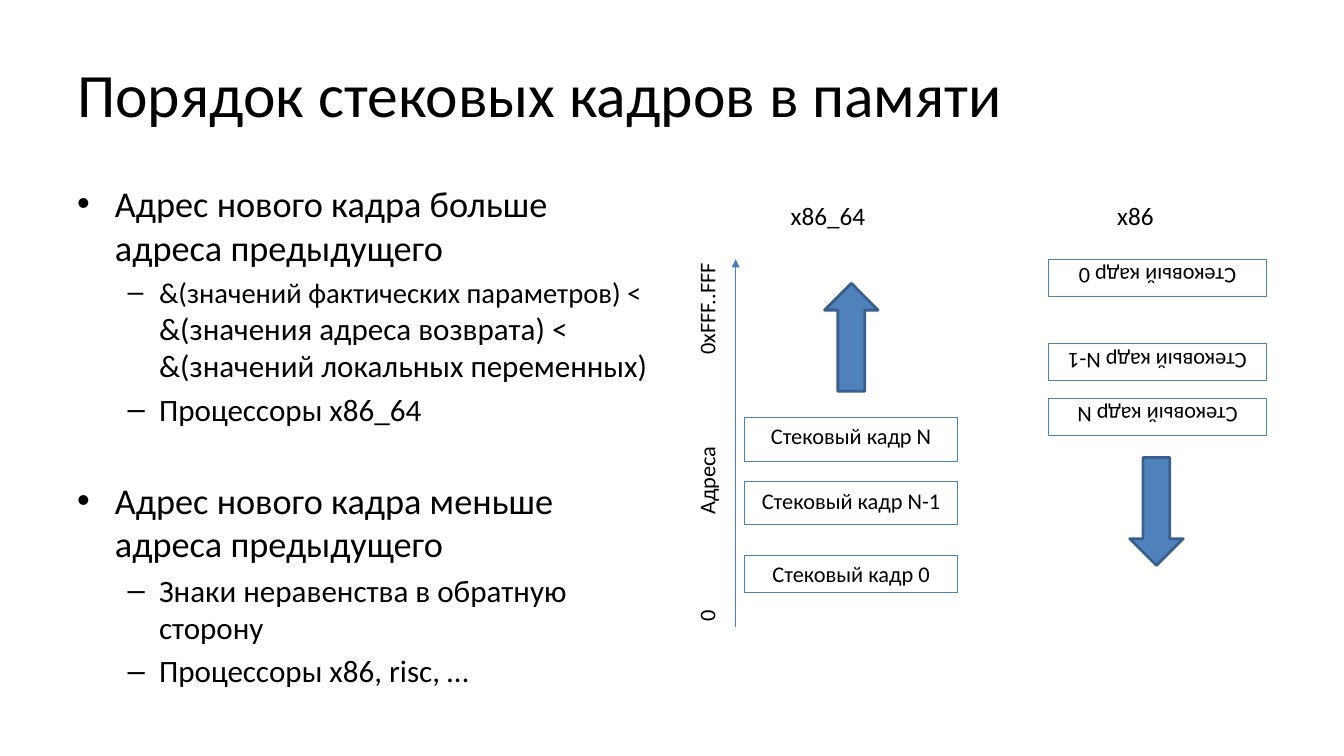
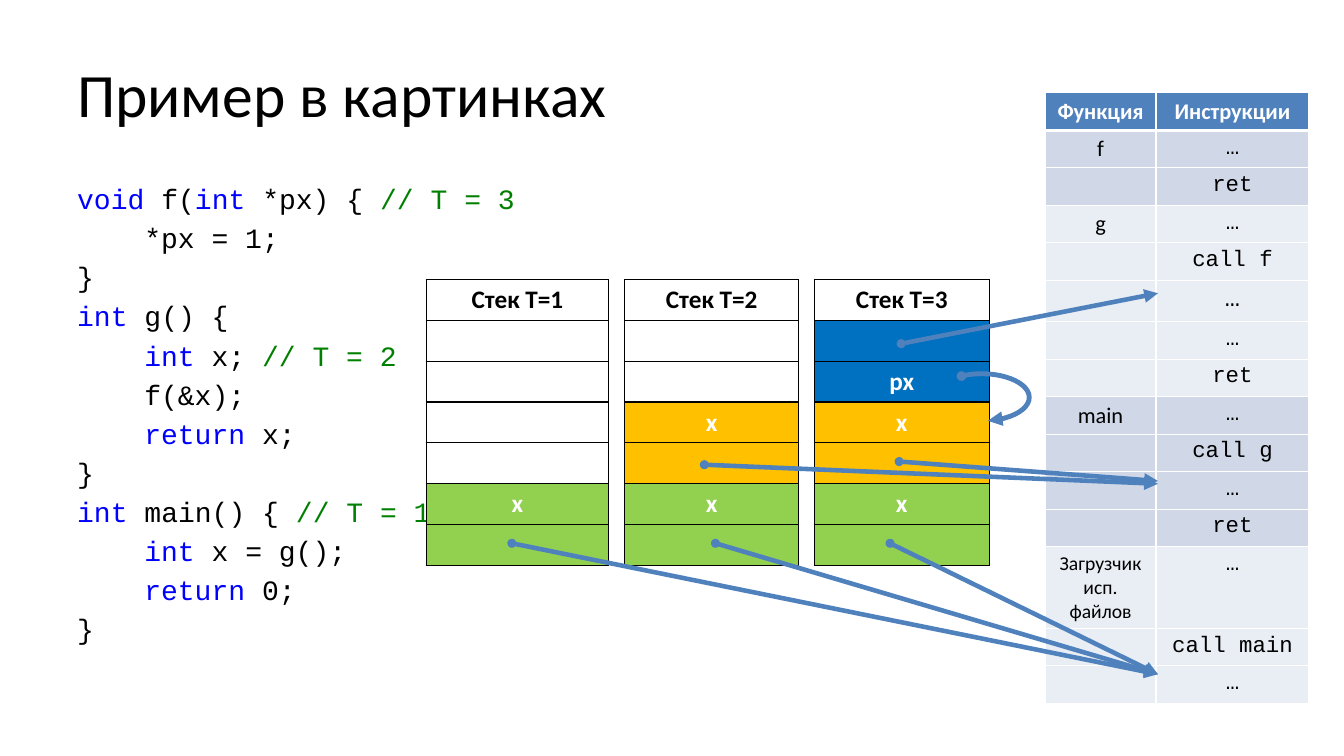
from lxml import etree
from pptx import Presentation
from pptx.dml.color import RGBColor
from pptx.enum import shapes, text
from pptx.oxml import ns
from pptx.util import Cm, Pt

hue = RGBColor.from_string
BLACK, WHITE, BLUE = "000000", "FFFFFF", "4F81BD"
SANS, MONO = "Calibri", "Courier New"


def draw_line(shape, color, width, head=None, tail=None):
    shape.line.color.rgb = hue(color)
    shape.line.width = Pt(width)
    outline = shape.element.spPr.find(ns.qn("a:ln"))
    for tag, kind, size in (("a:headEnd", head, "sm"), ("a:tailEnd", tail, "med")):
        if kind:
            etree.SubElement(outline, ns.qn(tag), type=kind, w=size, len=size)
    etree.SubElement(shape.element.spPr, ns.qn("a:effectLst"))


def fill_cell(cell, words, fill, border, size, color, font=SANS, bold=False, top=1, bottom=1):
    properties = cell._tc.get_or_add_tcPr()
    for side, width in (("L", 1), ("R", 1), ("T", top), ("B", bottom)):
        edge = etree.SubElement(properties, ns.qn("a:ln" + side), w=str(Pt(width)))
        paint = etree.SubElement(edge, ns.qn("a:solidFill"))
        etree.SubElement(paint, ns.qn("a:srgbClr"), val=border)
    if fill:
        cell.fill.solid()
        cell.fill.fore_color.rgb = hue(fill)
    else:
        cell.fill.background()
    para = cell.text_frame.paragraphs[0]
    para.alignment = text.PP_ALIGN.CENTER
    para.font.size = Pt(size)
    para.font.name = font
    para.font.bold = bold
    para.font.color.rgb = hue(color)
    if words:
        para.text = words
    else:
        ending = etree.SubElement(para._p, ns.qn("a:endParaRPr"))
        ending.set("sz", str(size * 100))


deck = Presentation()
deck.slide_width, deck.slide_height = Cm(33.87), Cm(19.05)

pages = []
for heading in ("Порядок стековых кадров в памяти", "Пример в картинках"):
    page = deck.slides.add_slide(deck.slide_layouts[1])
    title, body = page.placeholders
    title.left, title.top, title.width, title.height = Cm(1.69), Cm(0.76), Cm(30.48), Cm(3.18)
    body.left, body.top, body.width, body.height = Cm(1.69), Cm(4.45), Cm(14.96), Cm(12.57)
    title.text = heading
    title.text_frame.paragraphs[0].alignment = text.PP_ALIGN.LEFT
    title.text_frame.paragraphs[0].font.size = Pt(44)
    body.text_frame.auto_size = text.MSO_AUTO_SIZE.NONE
    pages.append((page, body.text_frame))

page, frame = pages[0]
points = [
    (0, "Адрес нового кадра больше адреса предыдущего"),
    (1, "&(значений фактических параметров) <\v&(значения адреса возврата) <\v"
        "&(значений локальных переменных)"),
    (1, "Процессоры x86_64"),
    (0, "Адрес нового кадра меньше адреса предыдущего"),
    (1, "Знаки неравенства в обратную сторону"),
    (1, "Процессоры x86, risc, …"),
]
for number, (level, words) in enumerate(points):
    para = frame.add_paragraph() if number else frame.paragraphs[0]
    para.text = words
    para.level = level
    para.font.size = Pt(22.2 if level else 25.9)
frame.paragraphs[1].runs[0].font.size = Pt(20.4)
frame.paragraphs[3].space_before = Pt(36)

labels = [
    ("x86", 28.63, 5.44, 1.45, 1.02, 18, 0),
    ("x86_64", 20.88, 5.44, 2.41, 1.02, 18, 0),
    ("0", 17.9, 15.5, 0.81, 1.12, 16, 270),
    ("0xFFF..FFF", 17.9, 7.77, 2.84, 1.12, 16, 270),
    ("Адреса", 17.9, 12.09, 2.26, 1.12, 16, 270),
]
for words, center, middle, width, height, size, turn in labels:
    box = page.shapes.add_textbox(
        Cm(center - width / 2), Cm(middle - height / 2), Cm(width), Cm(height))
    box.rotation = turn
    box.text_frame.word_wrap = False
    para = box.text_frame.paragraphs[0]
    para.text = words
    para.font.size = Pt(size)
    para.font.name = SANS
    para.font.color.rgb = hue(BLACK)

stacks = [
    (18.77, 5.36, 0, text.MSO_ANCHOR.TOP, [(10.52, 1.12), (12.14, 1.07), (14, 0.94)]),
    (26.42, 5.49, 180, text.MSO_ANCHOR.MIDDLE, [(10.03, 0.94), (8.66, 0.94), (6.53, 0.94)]),
]
for left, width, turn, anchor, places in stacks:
    for name, (top, height) in zip(("N", "N-1", "0"), places):
        box = page.shapes.add_shape(
            shapes.MSO_SHAPE.RECTANGLE, Cm(left), Cm(top), Cm(width), Cm(height))
        box.rotation = turn
        box.fill.background()
        draw_line(box, BLUE, 0.75)
        box.text_frame.vertical_anchor = anchor
        para = box.text_frame.paragraphs[0]
        para.text = f"Стековый кадр {name}"
        para.alignment = text.PP_ALIGN.CENTER
        para.font.size = Pt(16)
        para.font.name = SANS
        para.font.color.rgb = hue(BLACK)

axis = page.shapes.add_connector(
    shapes.MSO_CONNECTOR.STRAIGHT, Cm(18.54), Cm(15.8), Cm(18.54), Cm(6.53))
draw_line(axis, "4B7EBC", 0.75, tail="triangle")

for kind, left, top in (
    (shapes.MSO_SHAPE.UP_ARROW, 20.78, 7.14),
    (shapes.MSO_SHAPE.DOWN_ARROW, 28.47, 11.53),
):
    arrow = page.shapes.add_shape(kind, Cm(left), Cm(top), Cm(1.35), Cm(2.72))
    arrow.fill.solid()
    arrow.fill.fore_color.rgb = hue(BLUE)
    draw_line(arrow, "3A5F8C", 2)

page, frame = pages[1]
code = [
    (0, "void| f(|int| *px) { |// T = 3"),
    (1, "*px = 1;"),
    (0, "}"),
    (0, "int| g() {"),
    (1, "int| x; |// T = 2"),
    (1, "f(&x);"),
    (1, "return| x;"),
    (0, "}"),
    (0, "int| main() { |// T = 1"),
    (1, "int| x = g();"),
    (1, "return| 0;"),
    (0, "}"),
]
for number, (depth, line) in enumerate(code):
    para = frame.add_paragraph() if number else frame.paragraphs[0]
    para.space_before = Pt(3.9 if number else 5.3)
    para.font.size = Pt(20)
    para.font.name = MONO
    properties = para._p.get_or_add_pPr()
    properties.set("marL", str(Pt(48 * depth)))
    properties.set("indent", "0")
    properties.insert_element_before(
        etree.Element(ns.qn("a:buNone")), "a:tabLst", "a:defRPr", "a:extLst")
    for token in line.split("|"):
        span = para.add_run()
        span.text = token
        if token in ("void", "int", "return"):
            color = "0000FF"
        else:
            color = "008000" if token.startswith("//") else BLACK
        span.font.color.rgb = hue(color)

DARK, LIGHT = "D0D8E8", "E9EDF4"
instructions = [
    ("Функция", "Инструкции", BLUE),
    ("f", "…", DARK),
    ("", "ret", DARK),
    ("g", "…", LIGHT),
    ("", "call f", LIGHT),
    ("", "…", LIGHT),
    ("", "…", LIGHT),
    ("", "ret", LIGHT),
    ("main", "…", DARK),
    ("", "call g", DARK),
    ("", "…", DARK),
    ("", "ret", DARK),
    ("Загрузчик исп. файлов", "…", LIGHT),
    ("", "call main", LIGHT),
    ("", "…", LIGHT),
]
RETURN_ROW, LOADER_ROW = 5, 12
table = page.shapes.add_table(
    len(instructions), 2, Cm(26.34), Cm(2.34), Cm(6.65), Cm(15.3)).table
table.columns[0].width, table.columns[1].width = Cm(2.79), Cm(3.86)
table.first_row = table.horz_banding = False
for row, (owner, command, fill) in enumerate(instructions):
    table.rows[row].height = Cm({RETURN_ROW: 1.04, LOADER_ROW: 2.04}.get(row, 0.94))
    header = row == 0
    for column, words in enumerate((owner, command)):
        size = 16
        if (row, column) == (RETURN_ROW, 1):
            size = 18
        elif (row, column) == (LOADER_ROW, 0):
            size = 14
        fill_cell(
            table.cell(row, column), words, fill, WHITE, size,
            WHITE if header else BLACK,
            font=MONO if column and not header else SANS, bold=header,
            top=3 if row == 1 else 1, bottom=3 if header else 1)

GREEN, ORANGE, DEEP_BLUE = "92D050", "FFC000", "0070C0"
main_frame = [("x", GREEN), ("", GREEN)]
g_frame = [("x", ORANGE), ("", ORANGE)]
f_frame = [("", DEEP_BLUE), ("px", DEEP_BLUE)]
free = [("", None), ("", None)]
snapshots = [
    (10.74, 4.6, free + free + main_frame),
    (15.74, 4.39, free + g_frame + main_frame),
    (20.52, 4.41, f_frame + g_frame + main_frame),
]
for moment, (left, width, slots) in enumerate(snapshots, 1):
    rows = [(f"Стек T={moment}", None)] + slots
    table = page.shapes.add_table(
        len(rows), 1, Cm(left), Cm(7.04), Cm(width), Cm(1.03 * len(rows))).table
    table.first_row = table.horz_banding = False
    for row, (words, fill) in enumerate(rows):
        fill_cell(table.cell(row, 0), words, fill, BLACK, 18,
                  WHITE if fill else BLACK, bold=True)

pointer = page.shapes.add_shape(shapes.MSO_SHAPE.ARC, Cm(23.55), Cm(9.42), Cm(2.39), Cm(1.19))
pointer.adjustments[0], pointer.adjustments[1] = 135.75, 45.265
pointer.fill.background()
draw_line(pointer, BLUE, 3.5, "oval", "triangle")

for left, top, target in (
    (12.9, 13.69, 16.99),
    (18.03, 13.69, 16.99),
    (22.43, 13.69, 16.99),
    (17.75, 11.71, 12.19),
    (22.66, 11.63, 12.12),
    (22.71, 8.66, 7.39),
):
    link = page.shapes.add_connector(
        shapes.MSO_CONNECTOR.STRAIGHT, Cm(left), Cm(top), Cm(29.18), Cm(target))
    draw_line(link, BLUE, 3.25, "oval", "triangle")

deck.save("out.pptx")
